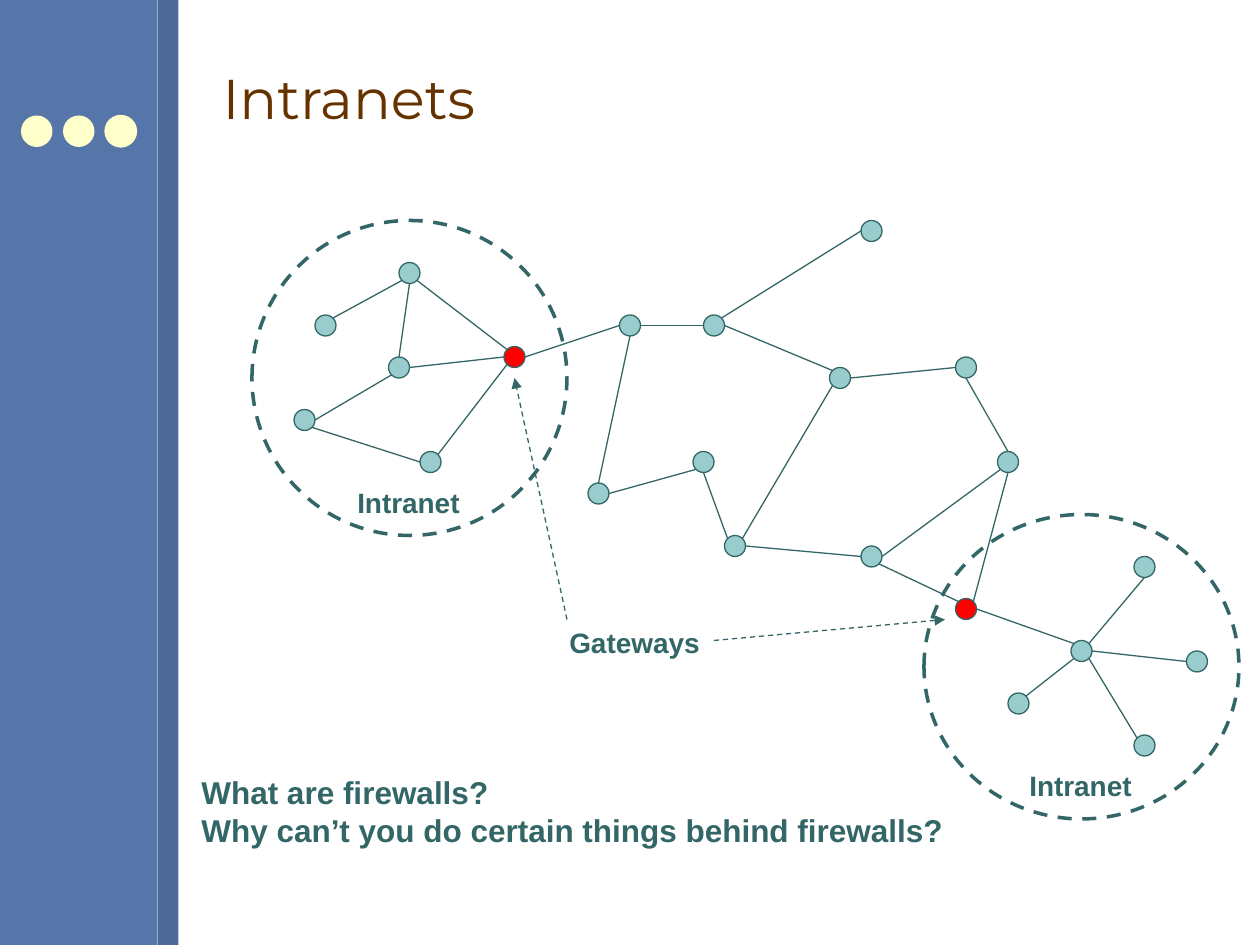
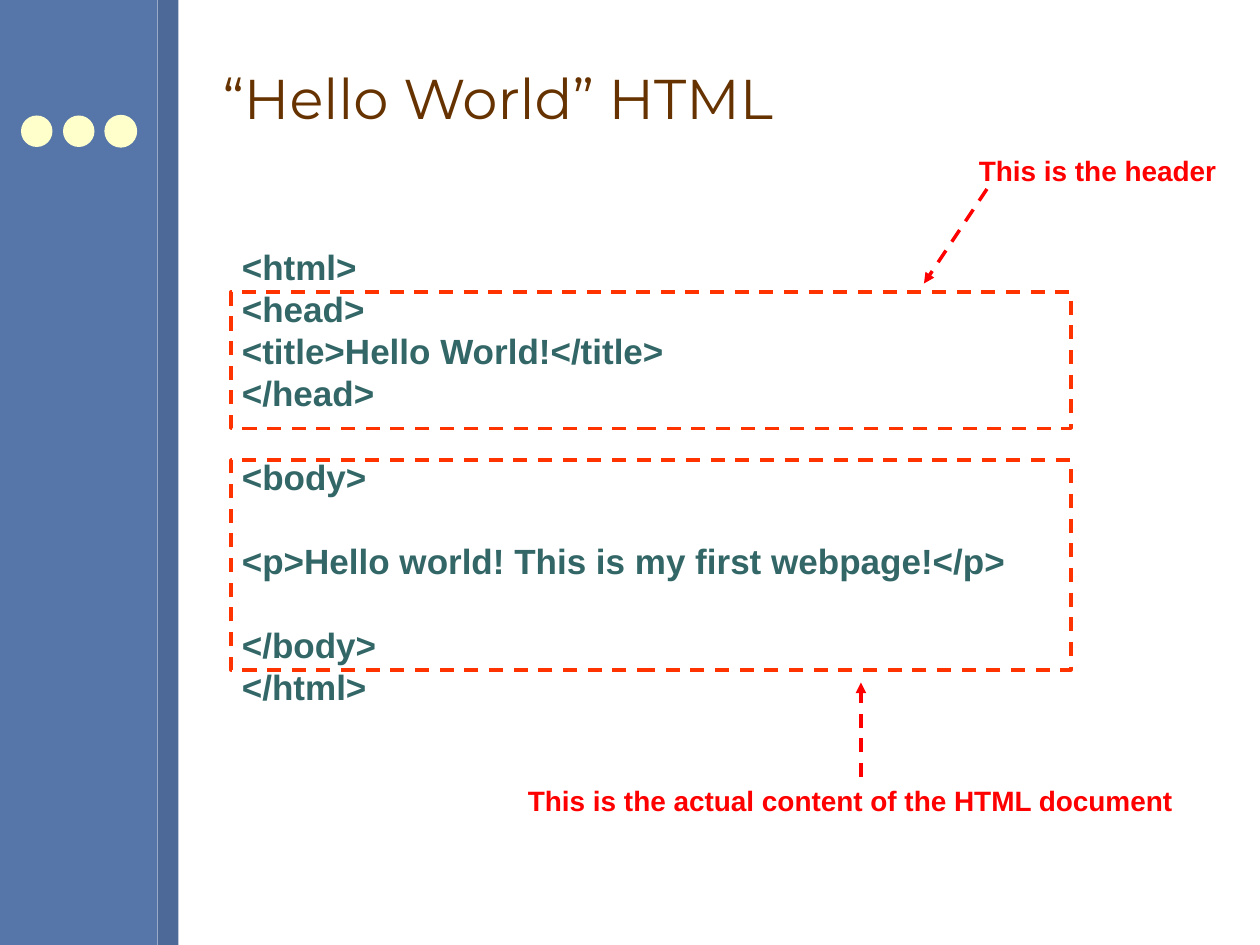
import pptx
import pptx.util
import pptx.dml.color
import pptx.enum.dml
import pptx.enum.shapes
import pptx.enum.text
import pptx.oxml
import pptx.oxml.ns

RGB = pptx.dml.color.RGBColor
SHAPE = pptx.enum.shapes.MSO_SHAPE
DASH = pptx.enum.dml.MSO_LINE.DASH
BLUE = RGB(0x56, 0x75, 0xA9)
NAVY = RGB(0x4D, 0x69, 0x97)
CREAM = RGB(0xFF, 0xFF, 0xCC)
BROWN = RGB(0x66, 0x33, 0x00)
TEAL = RGB(0x33, 0x66, 0x66)
AQUA = RGB(0x99, 0xCC, 0xCC)
RED = RGB(0xFF, 0x00, 0x00)
CORAL = RGB(0xFF, 0x33, 0x00)

COLS, ROWS = 120, 90
SIDE = (0, 0, 17, ROWS)
TITLE = (20, 2.5, 96, 13.5)
WEST = (24, 21, 30, 30)
CORE = (54, 21, 44, 34)
EAST = (88, 49, 30, 29)

WEST_DOTS = {"a": (15, 5), "b": (7, 10), "c": (5, 19), "d": (17, 23),
             "e": (14, 14), "f": (25, 13)}
CORE_DOTS = {"g": (6, 10), "h": (14, 10), "i": (29, 1), "j": (26, 15),
             "k": (38, 14), "l": (42, 23), "m": (13, 23), "n": (3, 26),
             "o": (16, 31), "p": (29, 32)}
EAST_DOTS = {"q": (4, 9), "r": (15, 13), "s": (21, 5), "t": (9, 18),
             "u": (26, 14), "v": (21, 22)}
GATES = "fq"
LINKS = ("b NE a SW", "e N a S", "c E e SW", "a SE f NW", "e E f W",
         "d NE f SW", "c SE d W", "f E g W", "h NE i W", "g E h W",
         "h E j NW", "n N g S", "n E m SW", "j E k W", "o NE j SW",
         "o NW m S", "o E p W", "k S l N", "p E l SW", "p SE q NW",
         "q NE l S", "q E r NW", "t NE r SW", "v NW r SE", "u W r E",
         "s S r NE")
SITES = {"N": (0, -1), "E": (1, 0), "S": (0, 1), "W": (-1, 0),
         "NE": (0.7, -0.7), "SE": (0.7, 0.7),
         "SW": (-0.7, 0.7), "NW": (-0.7, -0.7)}

CODE = ("<html>", "<head>", "<title>Hello World!</title>", "</head>",
        "<body>", "<p>Hello world! This is my first webpage!</p>",
        "</body>", "</html>")
GAPS = (4, 5, 6)


def cell(*nums):
    """Turn grid cells into lengths."""
    return [pptx.util.Inches(num / 12) for num in nums]


def shift(box, spot):
    """Move a spot into the frame of a box."""
    return box[0] + spot[0], box[1] + spot[1]


def mark(home, text):
    """Append an empty drawing element to its home."""
    space = pptx.oxml.ns.nsdecls("a")
    home.append(pptx.oxml.parse_xml(f"<a:{text} {space}/>"))


def shape(home, kind, box, fill=None, line=None, width=0.75, dash=None):
    """Add a flat preset shape."""
    item = home.shapes.add_shape(kind, *cell(*box))
    item.shadow.inherit = False
    if fill is None:
        item.fill.background()
    else:
        item.fill.solid()
        item.fill.fore_color.rgb = fill
    if line is None:
        item.line.fill.background()
    else:
        item.line.color.rgb = line
        item.line.width = pptx.util.Pt(width)
        item.line.dash_style = dash
    return item


def wire(home, start, end, color=TEAL, width=0.75, arrow=False):
    """Add a straight line, dashed with a head when it is an arrow."""
    kind = pptx.enum.shapes.MSO_CONNECTOR.STRAIGHT
    item = home.shapes.add_connector(kind, *cell(*start, *end))
    item.line.color.rgb = color
    item.line.width = pptx.util.Pt(width)
    if arrow:
        item.line.dash_style = DASH
        mark(item.element.spPr.find(pptx.oxml.ns.qn("a:ln")),
             'tailEnd type="triangle"')
    mark(item.element.spPr, "effectLst")


def label(home, box, lines, size=16, color=TEAL, gaps=()):
    """Add bold lines, with a free line before each one in gaps."""
    frame = home.shapes.add_textbox(*cell(*box)).text_frame
    frame.word_wrap = False
    frame.auto_size = pptx.enum.text.MSO_AUTO_SIZE.SHAPE_TO_FIT_TEXT
    frame.text = "\n".join(lines)
    pitch = pptx.util.Pt(1.2 * size)
    for rank, para in enumerate(frame.paragraphs):
        para.line_spacing = pitch
        if rank in gaps:
            para.space_before = pitch
        font = para.runs[0].font
        font.name, font.size, font.bold = "Arial", pptx.util.Pt(size), True
        font.color.rgb = color


def side(slide, box):
    """Build the side band with its three dots and put it on the layout."""
    left, top, wide, high = box
    parts = [shape(slide, SHAPE.RECTANGLE, (left, top, wide - 2, high), BLUE),
             shape(slide, SHAPE.RECTANGLE,
                   (left + wide - 2, top, 2, high), NAVY)]
    for rank in range(3):
        spot = (left + 2 + 4 * rank, top + 11, 3, 3)
        parts.append(shape(slide, SHAPE.OVAL, spot, CREAM,
                           CREAM if rank == 2 else None))
    for part in parts:
        slide.slide_layout.shapes.element.append(part.element)


def page(deck, text):
    """Add a slide with its title."""
    slide = deck.slides.add_slide(deck.slide_layouts[5])
    title = slide.shapes.title
    title.left, title.top, title.width, title.height = cell(*TITLE)
    frame = title.text_frame
    frame.text = text
    frame.auto_size = pptx.enum.text.MSO_AUTO_SIZE.NONE
    frame.vertical_anchor = pptx.enum.text.MSO_ANCHOR.MIDDLE
    para = frame.paragraphs[0]
    para.alignment = pptx.enum.text.PP_ALIGN.LEFT
    font = para.runs[0].font
    font.name, font.size = "Montserrat", pptx.util.Pt(32)
    font.color.rgb = BROWN
    return slide


def dots(slide, box, spots):
    """Draw the nodes of one region and return their centres."""
    found = {name: shift(box, spot) for name, spot in spots.items()}
    for name, (col, row) in found.items():
        shape(slide, SHAPE.OVAL, (col - 1, row - 1, 2, 2),
              RED if name in GATES else AQUA, TEAL)
    return found


def ring(slide, box, spot):
    """Draw the dashed border of an intranet with its label."""
    shape(slide, SHAPE.OVAL, box, None, TEAL, 2, DASH)
    label(slide, (*shift(box, spot), 12.3, 4.4), ["Intranet"])


def nets(deck):
    """Build the slide of joined networks."""
    slide = page(deck, "Intranets")
    nodes = {}
    for box, spots in ((WEST, WEST_DOTS), (CORE, CORE_DOTS),
                       (EAST, EAST_DOTS)):
        nodes.update(dots(slide, box, spots))
    for link in LINKS:
        one, out, two, into = link.split()
        wire(slide, shift(nodes[one], SITES[out]),
             shift(nodes[two], SITES[into]))
    ring(slide, WEST, (8.85, 24.65))
    ring(slide, EAST, (8.85, 23.6))
    label(slide, (53.04, 59, 14.8, 4.4), ["Gateways"])
    wire(slide, (54, 59), shift(nodes["f"], (0, 2)), arrow=True)
    wire(slide, (68, 61), shift(nodes["q"], (-2, 1)), arrow=True)
    label(slide, (18, 73.03, 73.4, 8.4),
          ["What are firewalls?",
           "Why can’t you do certain things behind firewalls?"], 18)
    return slide


def note(slide, box, text, spot, wide, start, end):
    """Frame a part of the code and point at it with a remark."""
    group = slide.shapes.add_group_shape()
    shape(group, SHAPE.RECTANGLE, box, None, CORAL, 2, DASH)
    label(group, (*shift(box, spot), wide, 4.4), [text], color=RED)
    wire(group, shift(box, start), shift(box, end), RED, 2, True)


def code(deck):
    """Build the slide of marked code."""
    slide = page(deck, "“Hello World” HTML")
    label(slide, (21.86, 22.8, 75.4, 45.2), CODE, 20, gaps=GAPS)
    note(slide, (22, 27.8, 80, 13), "This is the header",
         (70.05, -13.8), 25, (72, -9.8), (66, -0.8))
    note(slide, (22, 43.8, 80, 20),
         "This is the actual content of the HTML document",
         (27.1, 30.2), 63.9, (60, 30.2), (60, 21.2))


def main():
    """Build and save the deck."""
    deck = pptx.Presentation()
    deck.slide_width, deck.slide_height = cell(COLS, ROWS)
    side(nets(deck), SIDE)
    code(deck)
    deck.save("out.pptx")


if __name__ == "__main__":
    main()
